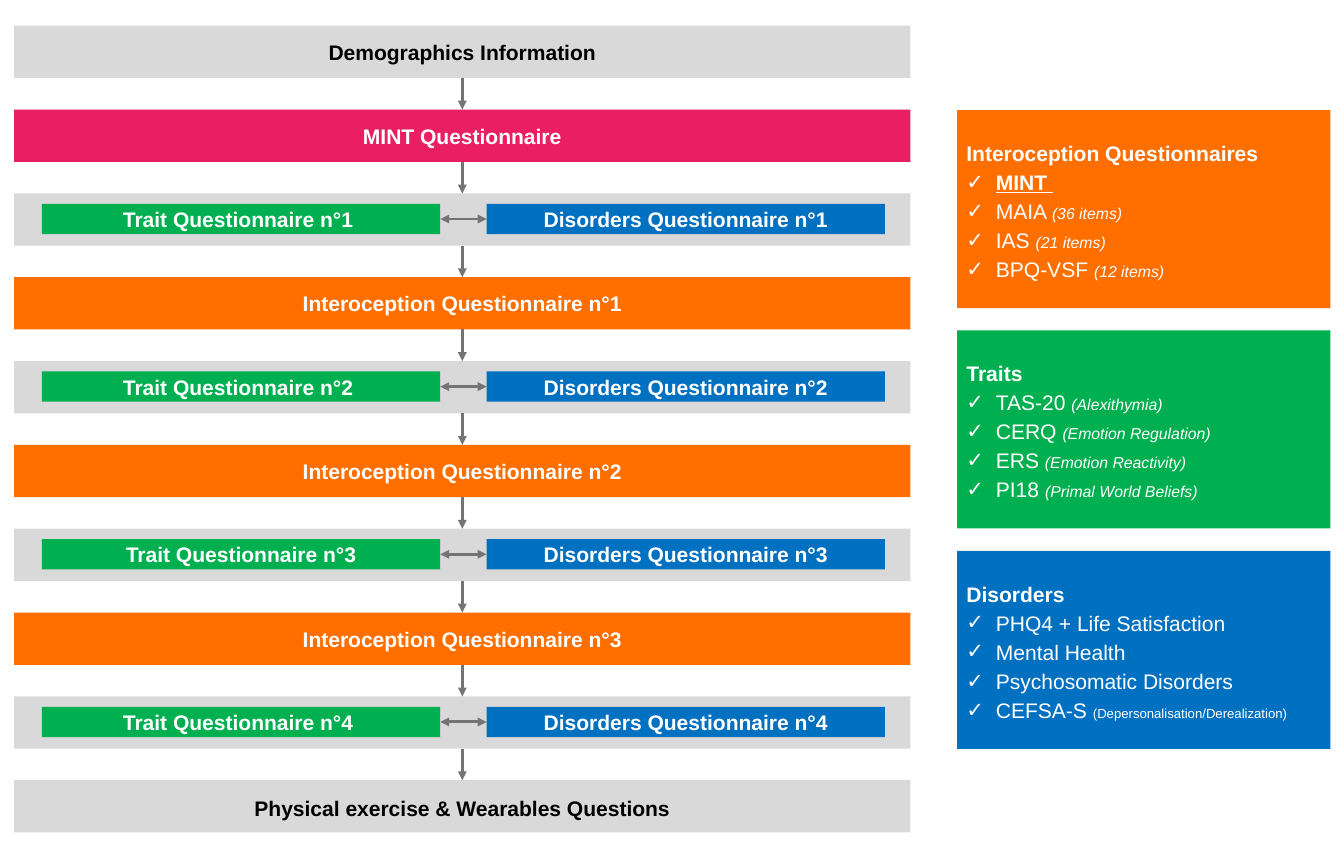
import pptx
import pptx.dml.color
import pptx.enum.shapes
import pptx.enum.text
import pptx.oxml.ns
import pptx.util
from lxml import etree

Cm = pptx.util.Cm
Pt = pptx.util.Pt
RGBColor = pptx.dml.color.RGBColor
PP_ALIGN = pptx.enum.text.PP_ALIGN
qn = pptx.oxml.ns.qn

GREY = RGBColor(0xD9, 0xD9, 0xD9)
PINK = RGBColor(0xE9, 0x1E, 0x63)
ORANGE = RGBColor(0xFF, 0x6F, 0x00)
GREEN = RGBColor(0x00, 0xB0, 0x50)
BLUE = RGBColor(0x00, 0x70, 0xC0)
ARROW_GREY = RGBColor(0x74, 0x74, 0x74)
BLACK = RGBColor(0x00, 0x00, 0x00)
WHITE = RGBColor(0xFF, 0xFF, 0xFF)

FONT = "Arial"
TEXT_SIZE = Pt(16)

STEPS = [
    ("Demographics Information", GREY, BLACK),
    ("MINT Questionnaire", PINK, WHITE),
    ("Trait Questionnaire n°1 ", "Disorders Questionnaire n°1"),
    ("Interoception Questionnaire n°1", ORANGE, WHITE),
    ("Trait Questionnaire n°2 ", "Disorders Questionnaire n°2"),
    ("Interoception Questionnaire n°2", ORANGE, WHITE),
    ("Trait Questionnaire n°3", "Disorders Questionnaire n°3"),
    ("Interoception Questionnaire n°3", ORANGE, WHITE),
    ("Trait Questionnaire n°4 ", "Disorders Questionnaire n°4"),
    ("Physical exercise & Wearables Questions", GREY, BLACK),
]

PANELS = [
    ("Interoception Questionnaires", ORANGE, [
        ("MINT ", "", {"bold": True, "underline": True}),
        ("MAIA ", "(36 items)", {}),
        ("IAS ", "(21 items)", {}),
        ("BPQ-VSF ", "(12 items)", {}),
    ], {"size": Pt(12), "italic": True}),
    ("Traits", GREEN, [
        ("TAS-20 ", "(Alexithymia)", {}),
        ("CERQ ", "(Emotion Regulation)", {}),
        ("ERS ", "(Emotion Reactivity)", {}),
        ("PI18 ", "(Primal World Beliefs)", {}),
    ], {"size": Pt(12), "italic": True}),
    ("Disorders", BLUE, [
        ("PHQ4 + Life Satisfaction", "", {}),
        ("Mental Health", "", {}),
        ("Psychosomatic Disorders", "", {}),
        ("CEFSA-S ", "(Depersonalisation/Derealization)", {}),
    ], {"size": Pt(10)}),
]


def set_font(font, **values):
    for name, value in values.items():
        setattr(font, name, value)


def style_paragraph(paragraph, color, bold):
    set_font(paragraph.font, name=FONT, size=TEXT_SIZE, bold=bold)
    paragraph.font.color.rgb = color


def add_box(slide, left, top, width, height, fill):
    shape = slide.shapes.add_shape(
        pptx.enum.shapes.MSO_SHAPE.RECTANGLE, left, top, width, height)
    shape.shadow.inherit = False
    shape.fill.solid()
    shape.fill.fore_color.rgb = fill
    shape.line.fill.background()
    shape.text_frame.word_wrap = True
    shape.text_frame.vertical_anchor = pptx.enum.text.MSO_ANCHOR.MIDDLE
    return shape


def add_label(shape, text, color):
    paragraph = shape.text_frame.paragraphs[0]
    paragraph.text = text
    paragraph.alignment = PP_ALIGN.CENTER
    style_paragraph(paragraph, color, True)
    return paragraph


def add_arrow(slide, start, start_site, end, end_site, both_ends=False):
    connector = slide.shapes.add_connector(
        pptx.enum.shapes.MSO_CONNECTOR.STRAIGHT, 0, 0, 0, 0)
    connector.begin_connect(start, start_site)
    connector.end_connect(end, end_site)
    connector.line.color.rgb = ARROW_GREY
    connector.line.width = Pt(2.25)
    line = connector.line._get_or_add_ln()
    for tag in ("a:headEnd", "a:tailEnd") if both_ends else ("a:tailEnd",):
        etree.SubElement(line, qn(tag), type="triangle")
    etree.SubElement(connector._element.spPr, qn("a:effectLst"))


def add_questionnaire_pair(slide, trait, disorders, left, top, width, height):
    row = add_box(slide, left, top, width, height, GREY)
    box_width, box_height, gap = Cm(10.67), Cm(0.81), Cm(1.24)
    box_left = left + Cm(0.74)
    box_top = top + Cm(0.28)
    trait_box = add_box(slide, box_left, box_top, box_width, box_height, GREEN)
    add_label(trait_box, trait, WHITE)
    disorders_box = add_box(
        slide, box_left + box_width + gap, box_top, box_width, box_height, BLUE)
    add_label(disorders_box, disorders, WHITE)
    add_arrow(slide, trait_box, 3, disorders_box, 1, both_ends=True)
    return row


def add_flow(slide, left, top, width, height):
    row_height = Cm(1.4)
    pitch = (height - row_height) / (len(STEPS) - 1)
    rows = []
    for index, step in enumerate(STEPS):
        box = left, round(top + index * pitch), width, row_height
        if len(step) == 2:
            rows.append(add_questionnaire_pair(slide, *step, *box))
        else:
            text, fill, color = step
            rows.append(add_box(slide, *box, fill))
            paragraph = add_label(rows[-1], text, color)
    paragraph.line_spacing = 1.15
    for upper, lower in zip(rows, rows[1:]):
        add_arrow(slide, upper, 2, lower, 0)


def add_check_mark(paragraph):
    properties = paragraph._p.get_or_add_pPr()
    indent = Cm(0.79)
    properties.set("marL", str(indent))
    properties.set("indent", str(-indent))
    etree.SubElement(properties, qn("a:buFont"), typeface=FONT)
    etree.SubElement(properties, qn("a:buChar"), char="✓")


def add_panel(slide, title, fill, items, note_style, left, top, width, height):
    frame = add_box(slide, left, top, width, height, fill).text_frame
    heading = frame.paragraphs[0]
    heading.text = title
    heading.alignment = PP_ALIGN.LEFT
    heading.line_spacing = 1.15
    style_paragraph(heading, WHITE, True)
    for name, note, name_style in items:
        paragraph = frame.add_paragraph()
        paragraph.alignment = PP_ALIGN.LEFT
        paragraph.line_spacing = 1.15
        add_check_mark(paragraph)
        style_paragraph(paragraph, WHITE, False)
        name_run = paragraph.add_run()
        name_run.text = name
        set_font(name_run.font, **name_style)
        if note:
            note_run = paragraph.add_run()
            note_run.text = note
            set_font(note_run.font, **note_style)


def add_panels(slide, left, top, width, height):
    gap = Cm(0.6)
    panel_height = (height - gap * (len(PANELS) - 1)) // len(PANELS)
    for index, panel in enumerate(PANELS):
        panel_top = top + index * (panel_height + gap)
        add_panel(slide, *panel, left, panel_top, width, panel_height)


def main():
    presentation = pptx.Presentation()
    presentation.slide_width = Cm(35.99)
    presentation.slide_height = Cm(23.01)
    slide = presentation.slides.add_slide(presentation.slide_layouts[6])
    add_flow(slide, Cm(0.38), Cm(0.69), Cm(24), Cm(21.61))
    add_panels(slide, Cm(25.63), Cm(2.95), Cm(10), Cm(17.11))
    presentation.save("out.pptx")


if __name__ == "__main__":
    main()
